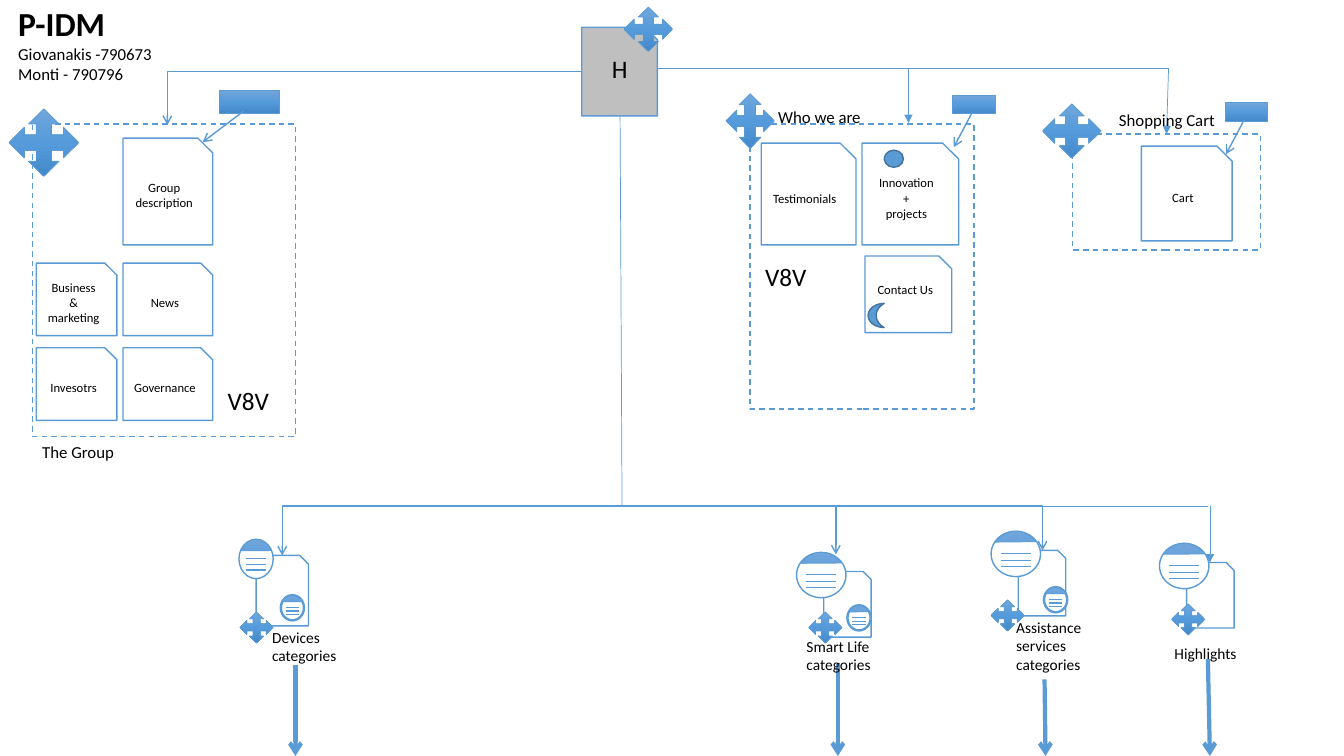
from copy import deepcopy
from dataclasses import dataclass
from lxml.etree import SubElement
from pptx import Presentation
from pptx.dml.color import RGBColor
from pptx.enum.dml import MSO_LINE
from pptx.enum.shapes import MSO_CONNECTOR as LINK, MSO_SHAPE as KIND
from pptx.enum.text import MSO_ANCHOR, MSO_AUTO_SIZE, PP_ALIGN
from pptx.oxml.ns import qn
from pptx.util import Inches, Pt

WIDE, HIGH = Inches(13.33), Inches(7.5)
COLS, ROWS = 13.33, 7.5


@dataclass(frozen=True)
class Theme:
    """Colours, font and type sizes of the slide."""
    blue: str = "5B9BD5"
    navy: str = "43739E"
    grey: str = "BFBFBF"
    white: str = "FFFFFF"
    black: str = "000000"
    blend: tuple = ("71A6DB", "559BDB", "448ACA")
    font: str = "Calibri"
    title: int = 24
    mark: int = 18
    body: int = 12
    label: int = 11
    card: int = 9


LOOK = Theme()


def tint(code):
    """Turn a hex code into a colour."""
    return RGBColor.from_string(code)


def col(count):
    """Turn grid columns into a length."""
    return int(WIDE * count / COLS)


def row(count):
    """Turn grid rows into a length."""
    return int(HIGH * count / ROWS)


def place(x, y, w, h):
    """Turn a grid box into lengths."""
    return col(x), row(y), col(w), row(h)


def write(frame, lines, size, align=PP_ALIGN.LEFT, bold=False):
    """Add each line as a paragraph with one run."""
    frame.word_wrap = True
    for at, line in enumerate(lines):
        para = frame.paragraphs[0] if at == 0 else frame.add_paragraph()
        para.alignment = align
        run = para.add_run()
        run.text = line
        font = run.font
        font.name, font.size, font.bold = LOOK.font, Pt(size), bold
        font.color.rgb = tint(LOOK.black)


def draw(on, kind, box, fill=LOOK.white, edge=LOOK.blue, weight=1):
    """Add a preset shape with a plain fill and line."""
    shape = on.add_shape(kind, *place(*box))
    shape.shadow.inherit = False
    shape.fill.solid()
    shape.fill.fore_color.rgb = tint(fill)
    shape.line.color.rgb = tint(edge)
    shape.line.width = Pt(weight)
    return shape


def shade(on, kind, box):
    """Add a shape with the blue blend."""
    shape = draw(on, kind, box, weight=0.5)
    shape.fill.gradient()
    shape.fill.gradient_angle = 270
    stops = shape._element.spPr.find(qn("a:gradFill")).find(qn("a:gsLst"))
    stops.insert(1, deepcopy(stops[0]))
    for at, stop in enumerate(shape.fill.gradient_stops):
        stop.position = at / 2
        stop.color.rgb = tint(LOOK.blend[at])
    return shape


def link(on, start, end, weight=1, tip=None, bent=False):
    """Add a line, or an elbow that turns above its end."""
    kind = LINK.ELBOW if bent else LINK.STRAIGHT
    line = on.add_connector(kind, col(start[0]), row(start[1]), col(end[0]), row(end[1]))
    line.line.color.rgb = tint(LOOK.blue)
    line.line.width = Pt(weight)
    props = line._element.spPr
    if bent:
        turn = props.find(qn("a:prstGeom")).find(qn("a:avLst"))
        SubElement(turn, qn("a:gd"), name="adj1", fmla="val 100000")
    if tip:
        SubElement(props.find(qn("a:ln")), qn("a:tailEnd"), type=tip)
    SubElement(props, qn("a:effectLst"))


def zone(on, box):
    """Add the dashed frame of a section."""
    draw(on, KIND.RECTANGLE, box).line.dash_style = MSO_LINE.DASH


def card(on, box, *lines, foot=0.05):
    """Add a page with a snipped corner and its name."""
    shape = draw(on, KIND.SNIP_1_RECTANGLE, box)
    frame = shape.text_frame
    frame.vertical_anchor = MSO_ANCHOR.MIDDLE
    frame.margin_bottom = row(foot)
    write(frame, lines, LOOK.card, PP_ALIGN.CENTER)


def label(on, box, text, size=LOOK.body):
    """Add a text box."""
    frame = on.add_textbox(*place(*box)).text_frame
    write(frame, [text], size)


def face(on, x, y, w, h, cap=1.08):
    """Add a round list icon with a shaded cap."""
    draw(on, KIND.OVAL, (x, y, w, h))
    for part in (0.49, 0.64, 0.78):
        level = y + part * h
        link(on, (x + 0.2 * w, level), (x + 0.8 * w, level))
    chord = shade(on, KIND.CHORD, (x - (cap - 1) * w / 2, y, cap * w, 1.31 * h))
    chord.adjustments[0], chord.adjustments[1] = 133.51, 190.19


def badge(on, x, y):
    """Add the small ringed list icon."""
    group = on.add_group_shape().shapes
    draw(group, KIND.OVAL, (x, y, 0.24, 0.26))
    face(group, x + 0.01, y + 0.01, 0.22, 0.24, 1.2)


def stop(on, page, disc, move, dot=None):
    """Add a category: its page, list icon, badge and move mark."""
    draw(on, KIND.SNIP_1_RECTANGLE, page)
    face(on.add_group_shape().shapes, *disc)
    shade(on, KIND.QUAD_ARROW, (*move, 0.33, 0.31))
    if dot:
        badge(on, *dot)


def head(slide):
    """Fill the title with the name and the authors."""
    title = slide.shapes.title
    title.left, title.top, title.width, title.height = place(0.08, -0.02, 2.85, 1.31)
    frame = title.text_frame
    frame.auto_size = MSO_AUTO_SIZE.NONE
    frame.vertical_anchor = MSO_ANCHOR.TOP
    write(frame, ["P-IDM", "Giovanakis -790673", "Monti - 790796"], LOOK.body)
    first = frame.paragraphs[0].runs[0].font
    first.size, first.bold = Pt(LOOK.title), True


def upper(on):
    """Add the home page and the three sections."""
    draw(on, KIND.SNIP_1_RECTANGLE, (5.77, 0.27, 0.75, 0.88), LOOK.grey)
    for box in ((0.32, 1.23, 2.61, 3.1), (7.44, 1.23, 2.22, 2.83), (10.64, 1.33, 1.86, 1.15)):
        zone(on, box)
    card(on, (1.22, 1.37, 0.89, 1.06), "Group description")
    for y, left, right in ((2.61, "Business & marketing", "News"),
                           (3.45, "Invesotrs", "Governance")):
        card(on, (0.36, y, 0.8, 0.72), left)
        card(on, (1.22, y, 0.89, 0.72), right)
    card(on, (7.55, 1.42, 0.94, 1.01), "Testimonials")
    card(on, (8.55, 1.42, 0.96, 1.01), "Innovation", "+", "projects")
    card(on, (8.58, 2.54, 0.86, 0.76), "Contact Us", foot=0.2)
    card(on, (11.32, 1.45, 0.9, 0.94), "Cart")
    draw(on, KIND.OVAL, (8.77, 1.49, 0.19, 0.17), LOOK.blue, LOOK.navy)
    draw(on, KIND.MOON, (8.61, 3.01, 0.16, 0.24), LOOK.blue, LOOK.navy)
    for box in ((0.09, 1.08, 0.69, 0.67), (6.19, 0.07, 0.48, 0.44),
                (7.2, 0.93, 0.48, 0.54), (10.34, 1.03, 0.58, 0.54)):
        shade(on, KIND.QUAD_ARROW, box)
    for box, start, end in (((2.18, 0.9, 0.59, 0.22), (2.42, 1.1), (2.01, 1.41)),
                            ((9.45, 0.95, 0.42, 0.18), (9.64, 1.12), (9.46, 1.46)),
                            ((12.15, 1.02, 0.42, 0.18), (12.34, 1.19), (12.16, 1.53))):
        shade(on, KIND.RECTANGLE, box)
        link(on, start, end, tip="arrow")


def lower(on):
    """Add the four categories."""
    stop(on, (2.54, 5.51, 0.52, 0.7), (2.37, 5.35, 0.34, 0.39), (2.38, 6.07), (2.78, 5.9))
    stop(on, (8.17, 5.67, 0.47, 0.65), (7.9, 5.48, 0.49, 0.45), (8.02, 6.07), (8.4, 6))
    stop(on, (10.1, 5.46, 0.47, 0.65), (9.83, 5.27, 0.49, 0.45), (9.83, 5.95), (10.35, 5.82))
    stop(on, (11.77, 5.58, 0.47, 0.65), (11.5, 5.39, 0.49, 0.45), (11.62, 5.99))


def wire(on):
    """Join the home page to sections and categories."""
    for start, end in (((5.77, 0.71), (1.66, 1.24)), ((7.34, 5.02), (2.8, 5.51)),
                       ((6.17, 5.02), (10.34, 5.46))):
        link(on, start, end, tip="arrow", bent=True)
    link(on, (8.29, 5.02), (8.29, 5.5), tip="arrow")
    for start, end in (((6.52, 0.68), (9.01, 0.68)), ((9.01, 0.68), (11.59, 0.68)),
                       ((6.15, 1.15), (6.17, 5.02)), ((10.33, 5.02), (11.98, 5.02))):
        link(on, start, end, 0.5)
    for start, end in (((9.01, 0.68), (9.01, 1.22)), ((11.59, 0.68), (11.57, 1.33)),
                       ((12, 5.02), (12, 5.58))):
        link(on, start, end, 0.5, "triangle")
    for x, y, foot in ((2.93, 6.6, 2.93), (8.31, 6.59, 8.31),
                       (10.36, 6.74, 10.37), (11.98, 6.54, 12)):
        link(on, (x, y), (foot, 7.5), 3, "arrow")


def names(on):
    """Add the labels of marks, sections and categories."""
    for box, text, size in (
            ((5.97, 0.48, 0.42, 0.4), "H", LOOK.mark),
            ((2.16, 3.77, 1.24, 0.4), "V8V", LOOK.mark),
            ((7.49, 2.54, 0.68, 0.4), "V8V", LOOK.mark),
            ((0.32, 4.33, 1.28, 0.3), "The Group", LOOK.body),
            ((7.62, 1.01, 1.3, 0.3), "Who we are", LOOK.body),
            ((11, 1.04, 1.43, 0.3), "Shopping Cart", LOOK.body),
            ((2.6, 6.18, 0.92, 0.47), "Devices categories", LOOK.label),
            ((7.9, 6.27, 0.92, 0.47), "Smart Life categories", LOOK.label),
            ((9.98, 6.08, 1.07, 0.66), "Assistance services categories", LOOK.label),
            ((11.55, 6.34, 1.38, 0.29), "Highlights", LOOK.label)):
        label(on, box, text, size)


def main():
    """Build the slide and save it."""
    deck = Presentation()
    deck.slide_width, deck.slide_height = WIDE, HIGH
    slide = deck.slides.add_slide(deck.slide_layouts[5])
    head(slide)
    for part in (upper, lower, wire, names):
        part(slide.shapes)
    deck.save("out.pptx")


main()
